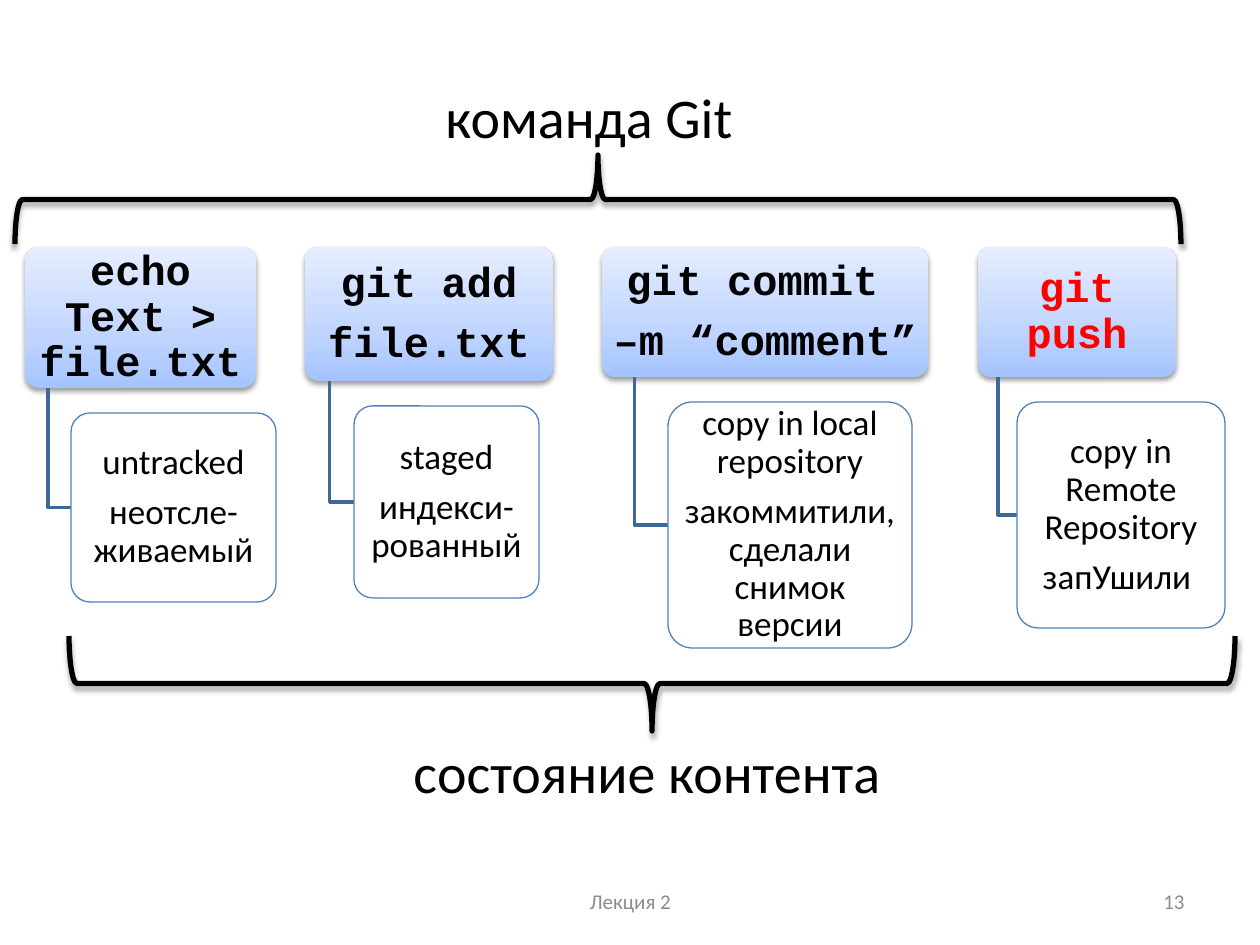
from copy import deepcopy

from lxml import etree
from pptx import Presentation
from pptx.dml.color import RGBColor
from pptx.enum.shapes import MSO_SHAPE
from pptx.enum.text import MSO_ANCHOR, MSO_AUTO_SIZE, PP_ALIGN
from pptx.oxml.ns import qn
from pptx.util import Emu, Pt

ROUNDED, BRACE = MSO_SHAPE.ROUNDED_RECTANGLE, MSO_SHAPE.RIGHT_BRACE
LEFT, CENTER, RIGHT = PP_ALIGN.LEFT, PP_ALIGN.CENTER, PP_ALIGN.RIGHT
MIDDLE, TOP = MSO_ANCHOR.MIDDLE, MSO_ANCHOR.TOP
FIT_SHAPE = MSO_AUTO_SIZE.SHAPE_TO_FIT_TEXT

EMU_PER_PIXEL = 914400 / 126
BLACK, RED, GRAY, WHITE = "000000", "FF0000", "8C8C8C", "FFFFFF"
ELBOW_BLUE, OUTLINE_BLUE = "3F6797", "4F81BD"
COMMAND_STOPS = [(0, "A4C4FF"), (0.35, "BFD4FF"), (1, "E6EEFF")]
COMMAND_TOP, STATE_GAP = 247, 25

# Command: left, width, height, colour, lines; state: left, width, height, lines
STEPS = [
    ((25, 231, 141, BLACK, ["echo Text > file.txt"]),
     (71, 205, 189, ["untracked", "неотсле-живаемый"])),
    ((305, 248, 134, BLACK, ["git add", "file.txt"]),
     (354, 185, 192, ["staged", "индекси-рованный"])),
    ((602, 326, 130, BLACK, ["git commit ", "–m “comment”"]),
     (668, 244, 246, ["copy in local repository",
                      "закоммитили, сделали снимок версии"])),
    ((978, 198, 130, RED, ["git push"]),
     (1017, 208, 226, ["copy in Remote Repository", "запУшили "])),
]


def px(length):
    return Emu(round(length * EMU_PER_PIXEL))


def color(code):
    return RGBColor.from_string(code)


def set_line(shape, code, width):
    shape.line.color.rgb = color(code)
    shape.line.width = Pt(width)


def add_shadow(shape, distance, opacity):
    effects = shape._element.spPr.find(qn("a:effectLst"))
    shadow = etree.SubElement(
        effects, qn("a:outerShdw"), blurRad=str(Pt(3.1)), dist=str(Pt(distance)),
        dir="5400000", rotWithShape="0")
    tint = etree.SubElement(shadow, qn("a:srgbClr"), val=BLACK)
    etree.SubElement(tint, qn("a:alpha"), val=str(opacity * 1000))


def write(shape, lines, font, size, code, align=CENTER, bold=False, anchor=MIDDLE,
          spaced=False):
    frame = shape.text_frame
    frame.vertical_anchor = anchor
    for index, line in enumerate(lines):
        para = frame.paragraphs[0] if index == 0 else frame.add_paragraph()
        para.alignment = align
        if spaced:
            para.line_spacing = 0.9
            para.space_after = Pt(size * 0.35)
        span = para.add_run()
        span.text = line
        span.font.name = font
        span.font.size = Pt(size)
        span.font.bold = bold
        span.font.color.rgb = color(code)


def add_label(page, left, top, width, height, text, size, code, wrap=True, **style):
    box = page.shapes.add_textbox(px(left), px(top), px(width), px(height))
    box.text_frame.word_wrap = wrap
    if not wrap:
        box.text_frame.auto_size = FIT_SHAPE
    write(box, [text], "Calibri", size, code, **style)


def add_card(page, left, top, width, height, inset):
    card = page.shapes.add_shape(ROUNDED, px(left), px(top), px(width), px(height))
    card.adjustments[0] = 0.1
    card.shadow.inherit = False
    frame = card.text_frame
    frame.word_wrap = True
    frame.margin_left = frame.margin_right = px(inset)
    frame.margin_top = frame.margin_bottom = px(4)
    return card


def add_command(page, left, width, height, code, lines):
    card = add_card(page, left, COMMAND_TOP, width, height, 6)
    card.fill.gradient()
    card.fill.gradient_angle = 90
    stops = card._element.spPr.find(".//" + qn("a:gsLst"))
    stops.append(deepcopy(stops[0]))
    for stop, (position, tint) in zip(card.fill.gradient_stops, COMMAND_STOPS):
        stop.position = position
        stop.color.rgb = color(tint)
    card.line.fill.background()
    add_shadow(card, 1.6, 38)
    write(card, lines, "Courier New", 24, code, bold=True, spaced=True)


def add_state(page, left, top, width, height, lines):
    card = add_card(page, left, top, width, height, 5)
    card.fill.solid()
    card.fill.fore_color.rgb = color(WHITE)
    tint = card._element.spPr.find(qn("a:solidFill"))[0]
    etree.SubElement(tint, qn("a:alpha"), val="90000")
    set_line(card, OUTLINE_BLUE, 0.75)
    write(card, lines, "Calibri", 20, BLACK, spaced=True)


def add_elbow(page, left, top, right, bottom):
    builder = page.shapes.build_freeform(px(left), px(top))
    builder.add_line_segments(
        [(px(left), px(bottom)), (px(right), px(bottom))], close=False)
    elbow = builder.convert_to_shape()
    elbow.fill.background()
    elbow.shadow.inherit = False
    set_line(elbow, ELBOW_BLUE, 2)


def add_step(page, command, state):
    command_left, command_width, command_height = command[:3]
    state_left, state_width, state_height, lines = state
    bottom = COMMAND_TOP + command_height
    state_top = bottom + STATE_GAP
    add_command(page, *command)
    add_elbow(page, command_left + command_width * 0.1, bottom,
              state_left, state_top + state_height / 2)
    add_state(page, state_left, state_top, state_width, state_height, lines)


def add_brace(page, left, top, length, depth, points_up=False):
    # The upright brace is turned about its centre to lie flat
    shift = (length - depth) / 2
    brace = page.shapes.add_shape(
        BRACE, px(left + shift), px(top - shift), px(depth), px(length))
    brace.rotation = 90
    if points_up:
        brace._element.spPr.find(qn("a:xfrm")).set("flipH", "1")
    brace.fill.background()
    brace.shadow.inherit = False
    set_line(brace, BLACK, 3)
    add_shadow(brace, 1.8, 35)


def main():
    deck = Presentation()
    deck.slide_width, deck.slide_height = px(1260), px(945)
    page = deck.slides.add_slide(deck.slide_layouts[6])

    # Footer
    add_label(page, 431, 876, 399, 50, "Лекция 2", 12, GRAY)
    add_label(page, 903, 876, 294, 50, "13", 12, GRAY, align=RIGHT)

    # Commands and the states they lead to
    for command, state in STEPS:
        add_step(page, command, state)

    # Braces with their captions
    add_brace(page, 15, 155, 1166, 89, points_up=True)
    add_brace(page, 69, 636, 1166, 95)
    caption = {"wrap": False, "align": LEFT, "anchor": TOP}
    add_label(page, 433, 76, 316, 81, "команда Git", 32, BLACK, **caption)
    add_label(page, 401, 731, 496, 81, "состояние контента", 32, BLACK, **caption)

    deck.save("out.pptx")


main()
